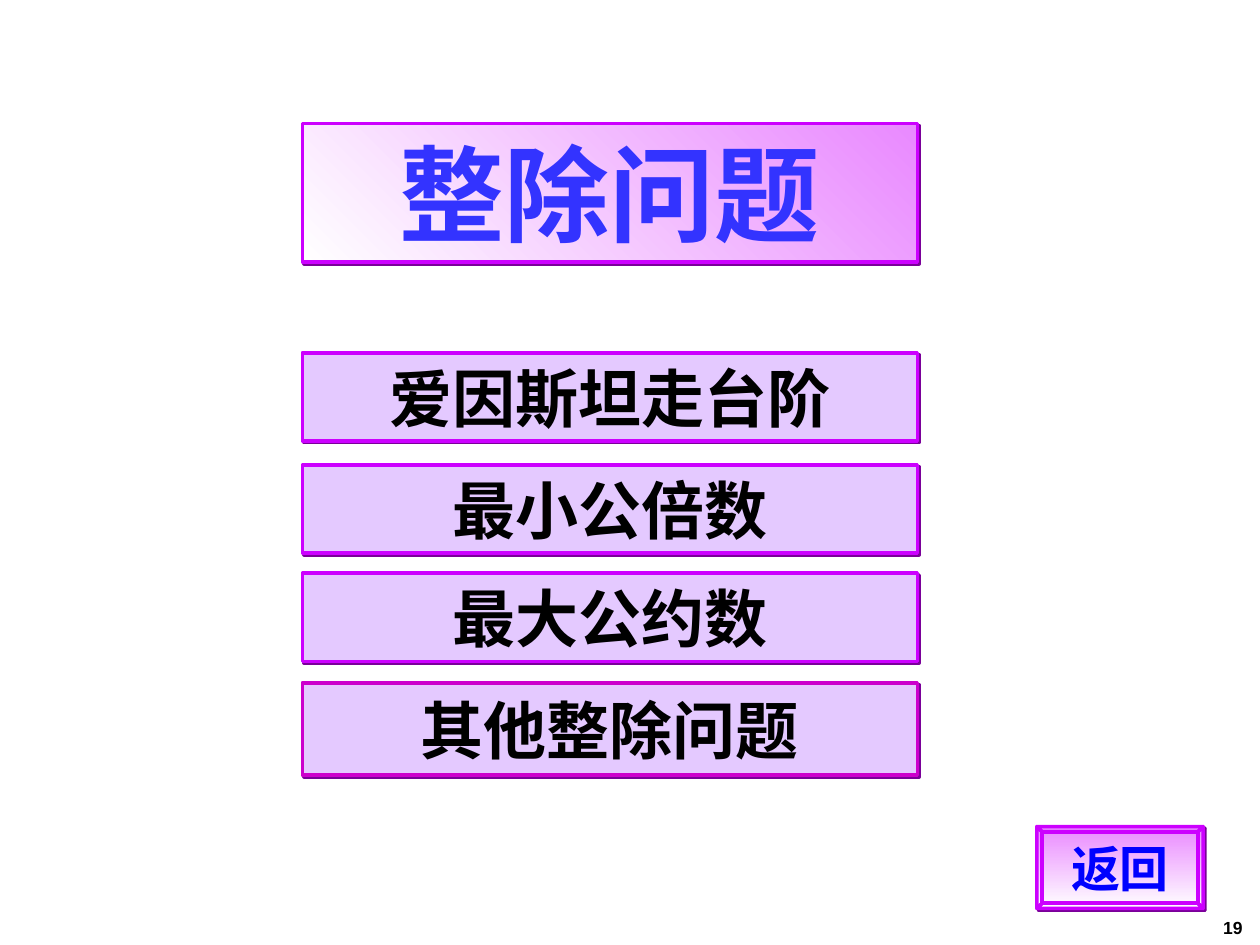
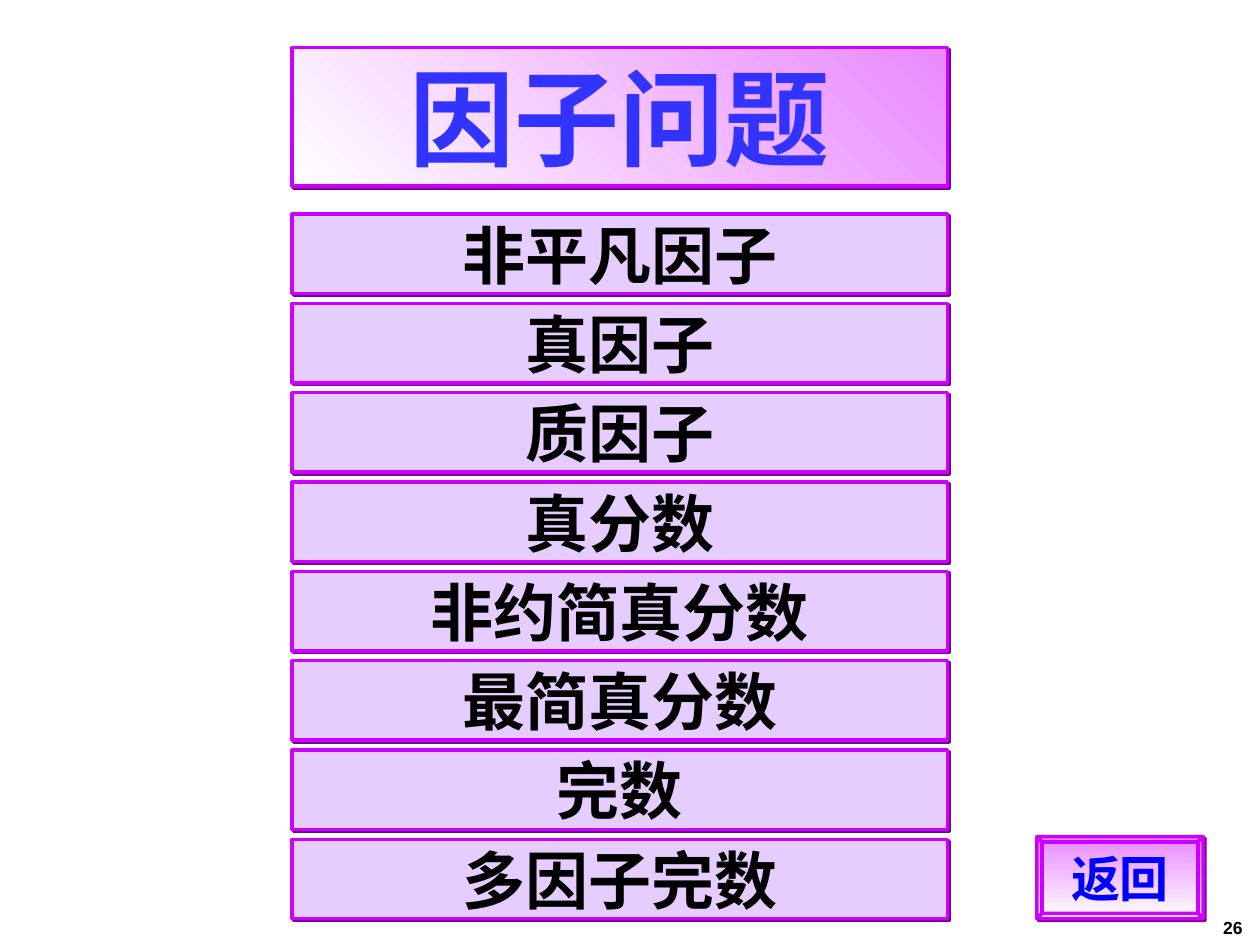
from dataclasses import dataclass

from lxml.etree import SubElement as Sub
from pptx import Presentation
from pptx.dml.color import RGBColor as RGB
from pptx.enum.shapes import MSO_SHAPE as Kind
from pptx.enum.text import MSO_ANCHOR as Anchor, MSO_AUTO_SIZE as Fit, PP_ALIGN as Align
from pptx.oxml.ns import qn
from pptx.util import Pt


@dataclass(frozen=True)
class Theme:
    pale: str = "FFFFFF"
    pink: str = "E989FF"
    edge: str = "CC00FF"
    shade: str = "7A0099"
    ink: str = "000000"
    head: str = "3333FF"
    link: str = "0000FF"
    serif: str = "Times New Roman"
    sans: str = "Arial"
    title: int = 60
    item: int = 36
    back: int = 28
    page: int = 10
    line: int = 2
    drop: float = 1.41


LOOK = Theme()


def write(shape, text, font=LOOK.serif, size=LOOK.item, color=LOOK.ink):
    frame = shape.text_frame
    frame.word_wrap = True
    frame.auto_size = Fit.NONE
    frame.vertical_anchor = Anchor.MIDDLE
    frame.margin_left = frame.margin_right = Pt(7.2)
    frame.margin_top = frame.margin_bottom = Pt(3.6)
    para = frame.paragraphs[0]
    para.alignment = Align.CENTER
    para.space_before = Pt(0)
    run = para.add_run()
    run.text = text
    run.font.name = font
    run.font.size = Pt(size)
    run.font.bold = True
    run.font.color.rgb = RGB.from_string(color)


def blend(shape, first, last, angle):
    shape.fill.gradient()
    shape.fill.gradient_angle = angle
    for stop, color in zip(shape.fill.gradient_stops, (first, last)):
        stop.color.rgb = RGB.from_string(color)


def trim(shape, color=LOOK.edge):
    """Give a shape its border and its hard drop shadow."""
    shape.line.color.rgb = RGB.from_string(color)
    shape.line.width = Pt(LOOK.line)
    shape.shadow.inherit = False
    effects = shape._element.spPr.find(qn("a:effectLst"))
    drop = Sub(effects, qn("a:outerShdw"), blurRad="0", dist=str(Pt(LOOK.drop)),
               dir="2700000", algn="ctr", rotWithShape="0")
    Sub(drop, qn("a:srgbClr"), val=LOOK.shade)


def banner(slide, text, left, top, width, height=79.2):
    title = slide.shapes.title
    title.left, title.top = Pt(left), Pt(top)
    title.width, title.height = Pt(width), Pt(height)
    blend(title, LOOK.pale, LOOK.pink, 45)
    trim(title)
    write(title, text, size=LOOK.title, color=LOOK.head)


def entry(slide, text, left, top, width, height, fill, edge=LOOK.edge):
    bar = slide.shapes.add_shape(Kind.RECTANGLE, Pt(left), Pt(top), Pt(width), Pt(height))
    bar.fill.solid()
    bar.fill.fore_color.rgb = RGB.from_string(fill)
    trim(bar, edge)
    write(bar, text)


def button(slide, text, left, top, width=95, height=46.8, rim=3):
    """Draw a bevelled button: an inner face and four mitred sides."""
    right, foot = left + width, top + height
    outer = [(left, top), (right, top), (right, foot), (left, foot)]
    inner = [(left + rim, top + rim), (right - rim, top + rim),
             (right - rim, foot - rim), (left + rim, foot - rim)]
    parts = [inner]
    for i in range(4):
        j = (i + 1) % 4
        parts.append([outer[i], outer[j], inner[j], inner[i]])
    pen = None
    for part in parts:
        start, *rest = [(Pt(x), Pt(y)) for x, y in part]
        if pen is None:
            pen = slide.shapes.build_freeform(*start)
        else:
            pen.move_to(*start)
        pen.add_line_segments(rest, close=True)
    face = pen.convert_to_shape()
    blend(face, LOOK.pink, LOOK.pale, 270)
    trim(face)
    write(face, text, size=LOOK.back, color=LOOK.link)


def number(slide, text):
    box = slide.shapes.add_textbox(Pt(689), Pt(520), Pt(31), Pt(20))
    write(box, text, font=LOOK.sans, size=LOOK.page)


def menu(deck, title, page, box, rows, back):
    """Add a slide; box is the banner's left, top and width, rows are entry settings."""
    slide = deck.slides.add_slide(deck.slide_layouts[5])
    left, top, width = box
    banner(slide, title, left, top, width)
    for row in rows:
        entry(slide, left=left, width=width, **row)
    button(slide, "返回", 592.5, back)
    number(slide, page)


def main():
    deck = Presentation()
    deck.slide_width, deck.slide_height = Pt(720), Pt(540)

    topics = {"爱因斯坦走台阶": 201.6, "最小公倍数": 265.7, "最大公约数": 327.6}
    rows = [dict(text=text, top=top, height=50.4, fill="E4C9FF")
            for text, top in topics.items()]
    rows.append(dict(text="其他整除问题", top=390.2, height=52.8, fill="E4C9FF", edge="CC00CC"))
    menu(deck, "整除问题", "19", (172.8, 70.6, 351.4), rows, 472.3)

    terms = ["非平凡因子", "真因子", "质因子", "真分数",
             "非约简真分数", "最简真分数", "完数", "多因子完数"]
    rows = [dict(text=text, top=122.4 + 51.03 * i, height=45.4, fill="E6CDFF")
            for i, text in enumerate(terms)]
    menu(deck, "因子问题", "26", (167, 27.2, 374.4), rows, 478.1)

    deck.save("out.pptx")


if __name__ == "__main__":
    main()
